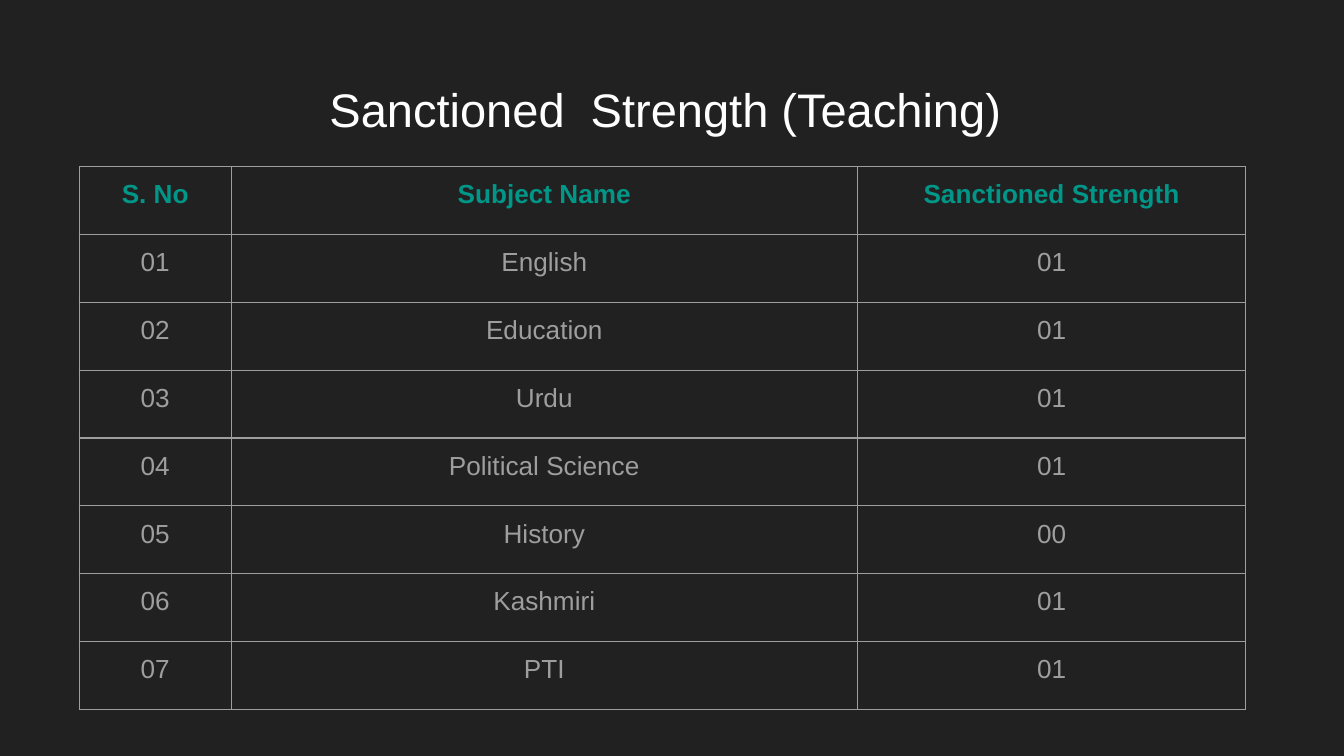
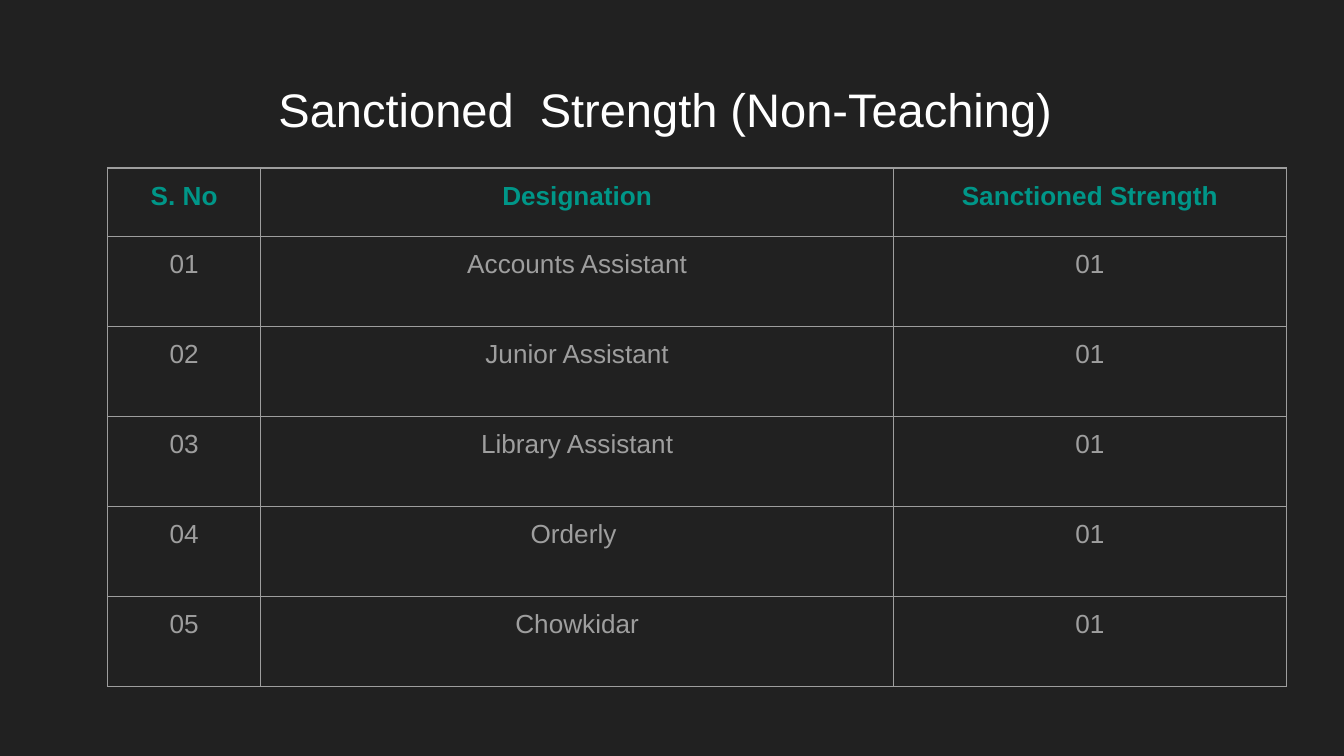
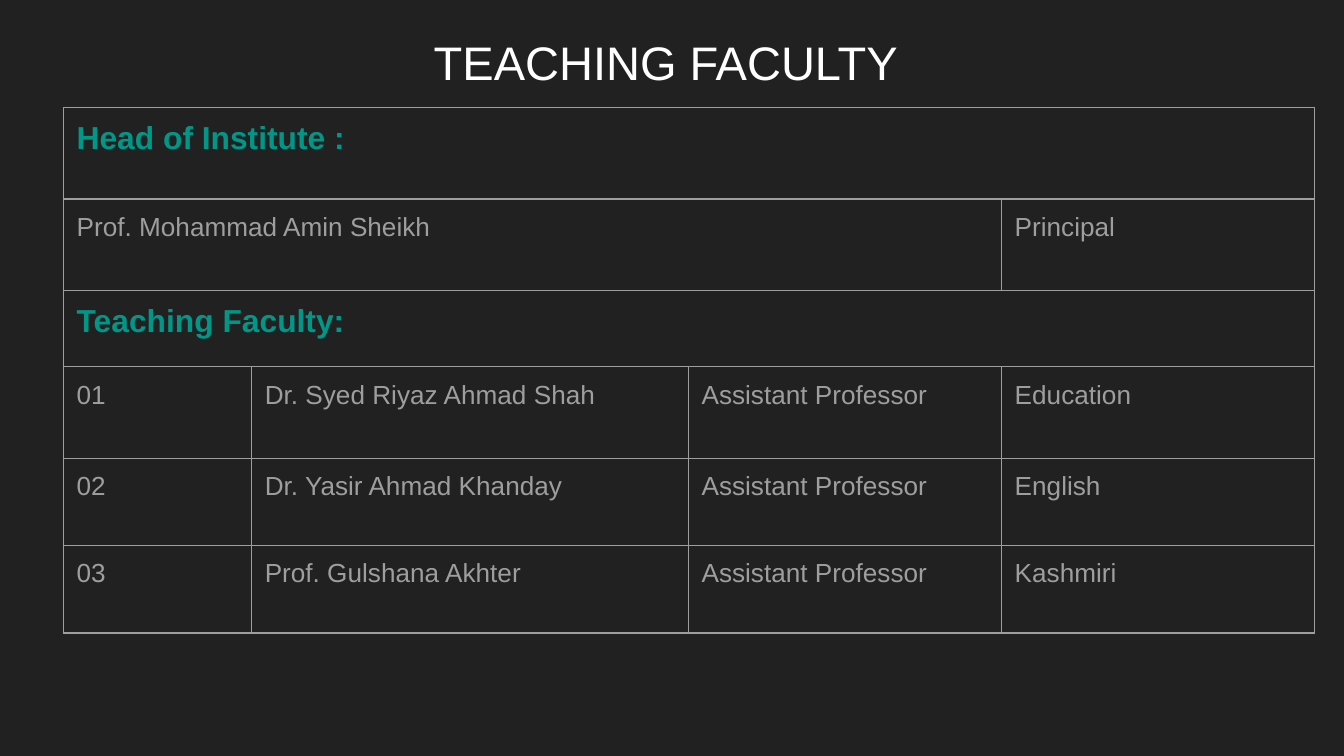
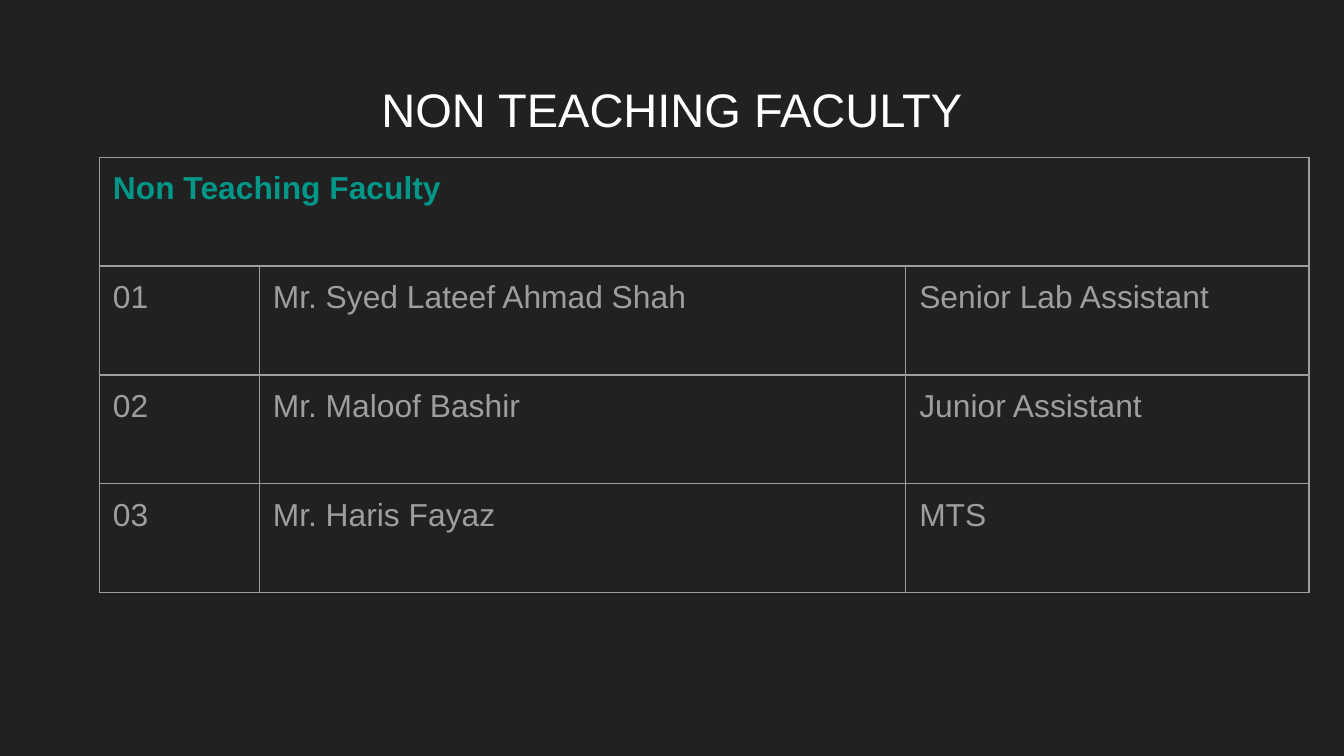
import pptx
import pptx.util
import pptx.dml.color
import pptx.enum.text
import pptx.oxml.ns
import lxml.etree

Inches, Pt = pptx.util.Inches, pptx.util.Pt
RGBColor = pptx.dml.color.RGBColor
ALIGN = pptx.enum.text.PP_ALIGN
qn = pptx.oxml.ns.qn

DARK = RGBColor(0x21, 0x21, 0x21)
WHITE = RGBColor(0xFF, 0xFF, 0xFF)
TEAL = RGBColor(0x00, 0x96, 0x88)
GREY = RGBColor(0x9E, 0x9E, 0x9E)
FONT = "Arial"
PAD = Inches(0.1)

# Content: None joins a cell to the one on its left; "heads" lists the teal rows
SLIDES = [
    {
        "title": "Sanctioned  Strength (Teaching) ", "top": 0.49,
        "at": (0.59, 1.24), "cols": [1.13, 4.66, 2.89], "high": [0.505] * 8,
        "heads": [0], "sizes": (14, 14), "align": ALIGN.CENTER,
        "rows": [
            ("S. No", "Subject Name", "Sanctioned Strength"),
            ("01", "English", "01"),
            ("02", "Education", "01"),
            ("03", "Urdu", "01"),
            ("04", "Political Science", "01"),
            ("05", "History", "00"),
            ("06", "Kashmiri", "01"),
            ("07", "PTI", "01"),
        ],
    },
    {
        "title": "Sanctioned  Strength (Non-Teaching) ", "top": 0.49,
        "at": (0.8, 1.25), "cols": [1.14, 4.71, 2.92],
        "high": [0.51] + [0.67] * 5,
        "heads": [0], "sizes": (14, 14), "align": ALIGN.CENTER,
        "rows": [
            ("S. No", "Designation", "Sanctioned Strength"),
            ("01", "Accounts Assistant", "01"),
            ("02", "Junior Assistant", "01"),
            ("03", "Library Assistant", "01"),
            ("04", "Orderly ", "01"),
            ("05", "Chowkidar", "01"),
        ],
    },
    {
        "title": "TEACHING FACULTY ", "top": 0.14,
        "at": (0.47, 0.8), "cols": [1.4, 3.25, 2.33, 2.33],
        "high": [0.68, 0.68, 0.57, 0.68, 0.65, 0.65],
        "heads": [0, 2], "sizes": (17, 14), "align": ALIGN.LEFT,
        "rows": [
            ("Head of Institute :", None, None, None),
            ("Prof. Mohammad Amin Sheikh", None, None, "Principal"),
            ("Teaching Faculty:", None, None, None),
            ("01", "Dr. Syed Riyaz Ahmad Shah", "Assistant Professor", "Education"),
            ("02", "Dr. Yasir Ahmad Khanday", "Assistant Professor", "English"),
            ("03", "Prof. Gulshana Akhter", "Assistant Professor", "Kashmiri"),
        ],
    },
    {
        "title": "NON TEACHING FACULTY", "top": 0.49,
        "at": (0.74, 1.17), "cols": [1.19, 4.81, 3], "high": [0.81] * 4,
        "heads": [0], "sizes": (17, 17), "align": ALIGN.LEFT,
        "rows": [
            ("Non Teaching Faculty", None, None),
            ("01", "Mr. Syed Lateef Ahmad Shah", "Senior Lab Assistant"),
            ("02", "Mr. Maloof Bashir", "Junior Assistant"),
            ("03", "Mr. Haris Fayaz", "MTS"),
        ],
    },
]


def style(par, size, color, align, bold=False):
    par.alignment = align
    for run in par.runs:
        font = run.font
        font.name, font.size, font.bold = FONT, Pt(size), bold
        font.color.rgb = color


def pad(box):
    box.margin_left = box.margin_right = PAD
    box.margin_top = box.margin_bottom = PAD


def rule(cell):
    """Draw the four borders of a cell, ahead of its fill."""
    props = cell._tc.get_or_add_tcPr()
    for spot, side in enumerate(("a:lnL", "a:lnR", "a:lnT", "a:lnB")):
        line = lxml.etree.Element(qn(side), w=str(Pt(0.75)))
        fill = lxml.etree.SubElement(line, qn("a:solidFill"))
        lxml.etree.SubElement(fill, qn("a:srgbClr"), val=str(GREY))
        props.insert(spot, line)


def add_title(slide, text, top):
    title = slide.shapes.title
    title.left, title.top = Inches(0.34), Inches(top)
    title.width, title.height = Inches(9.32), Inches(0.63)
    frame = title.text_frame
    frame.text = text
    frame.word_wrap = True
    frame.auto_size = pptx.enum.text.MSO_AUTO_SIZE.NONE
    frame.vertical_anchor = pptx.enum.text.MSO_ANCHOR.BOTTOM
    pad(frame)
    style(frame.paragraphs[0], 25.2, WHITE, ALIGN.CENTER)


def add_grid(slide, data):
    rows, cols, high = data["rows"], data["cols"], data["high"]
    left, top = data["at"]
    grid = slide.shapes.add_table(
        len(rows), len(cols), Inches(left), Inches(top),
        Inches(sum(cols)), Inches(sum(high))).table
    grid.first_row = grid.horz_banding = False
    for col, width in zip(grid.columns, cols):
        col.width = Inches(width)
    for row, height in zip(grid.rows, high):
        row.height = Inches(height)

    for r, texts in enumerate(rows):
        head = r in data["heads"]
        size = data["sizes"][0 if head else 1]
        for c, text in enumerate(texts):
            cell = grid.cell(r, c)
            cell.fill.background()
            rule(cell)
            pad(cell)
            if text is None:
                continue
            cell.text_frame.text = text
            style(cell.text_frame.paragraphs[0], size,
                  TEAL if head else GREY, data["align"], head)
            # Join the empty cells that follow
            end = c
            while end + 1 < len(texts) and texts[end + 1] is None:
                end += 1
            if end > c:
                cell.merge(grid.cell(r, end))


def main():
    deck = pptx.Presentation()
    deck.slide_width, deck.slide_height = Inches(10), Inches(5.625)
    back = deck.slide_master.background.fill
    back.solid()
    back.fore_color.rgb = DARK
    for data in SLIDES:
        slide = deck.slides.add_slide(deck.slide_layouts[5])
        add_title(slide, data["title"], data["top"])
        add_grid(slide, data)
    deck.save("out.pptx")


if __name__ == "__main__":
    main()
